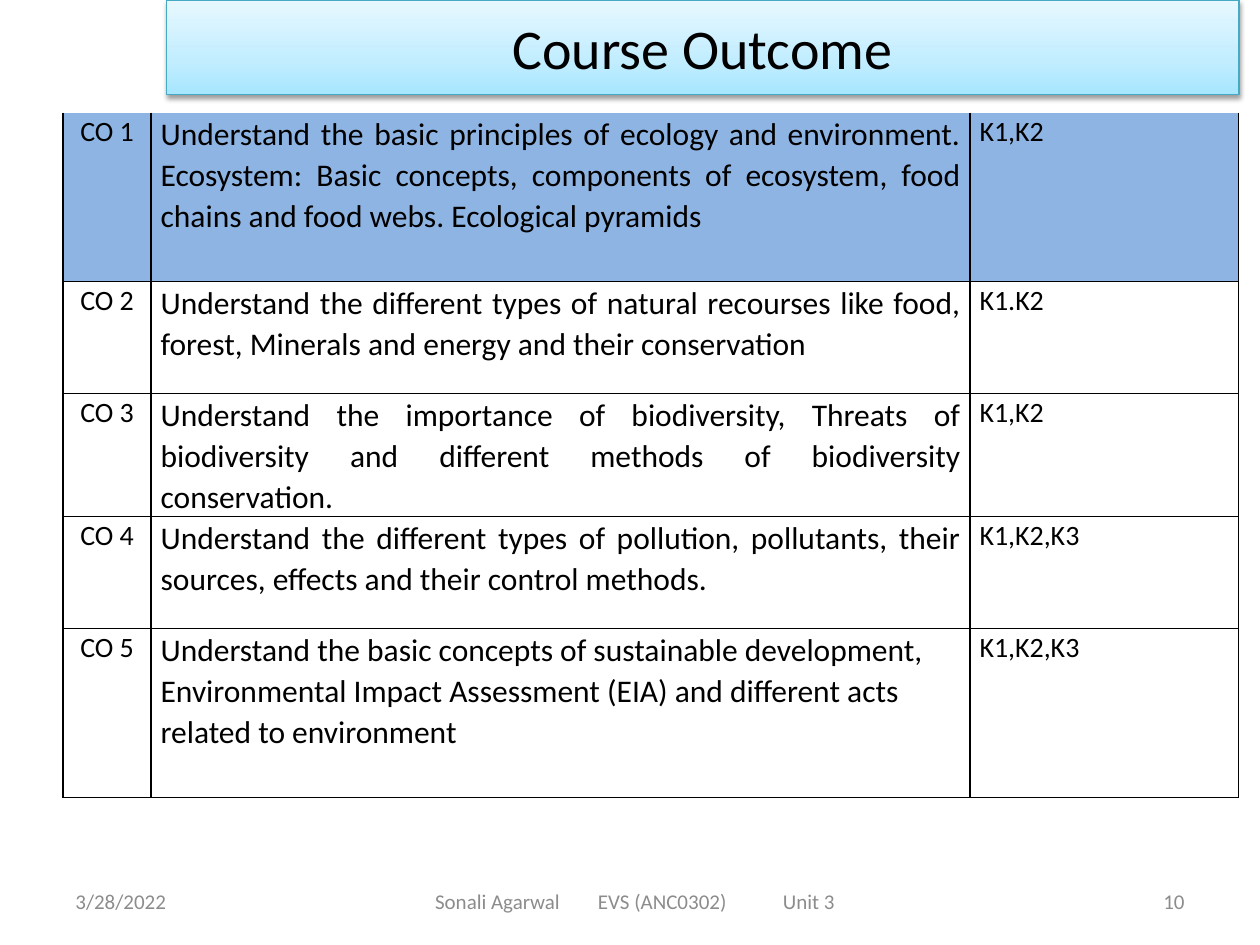
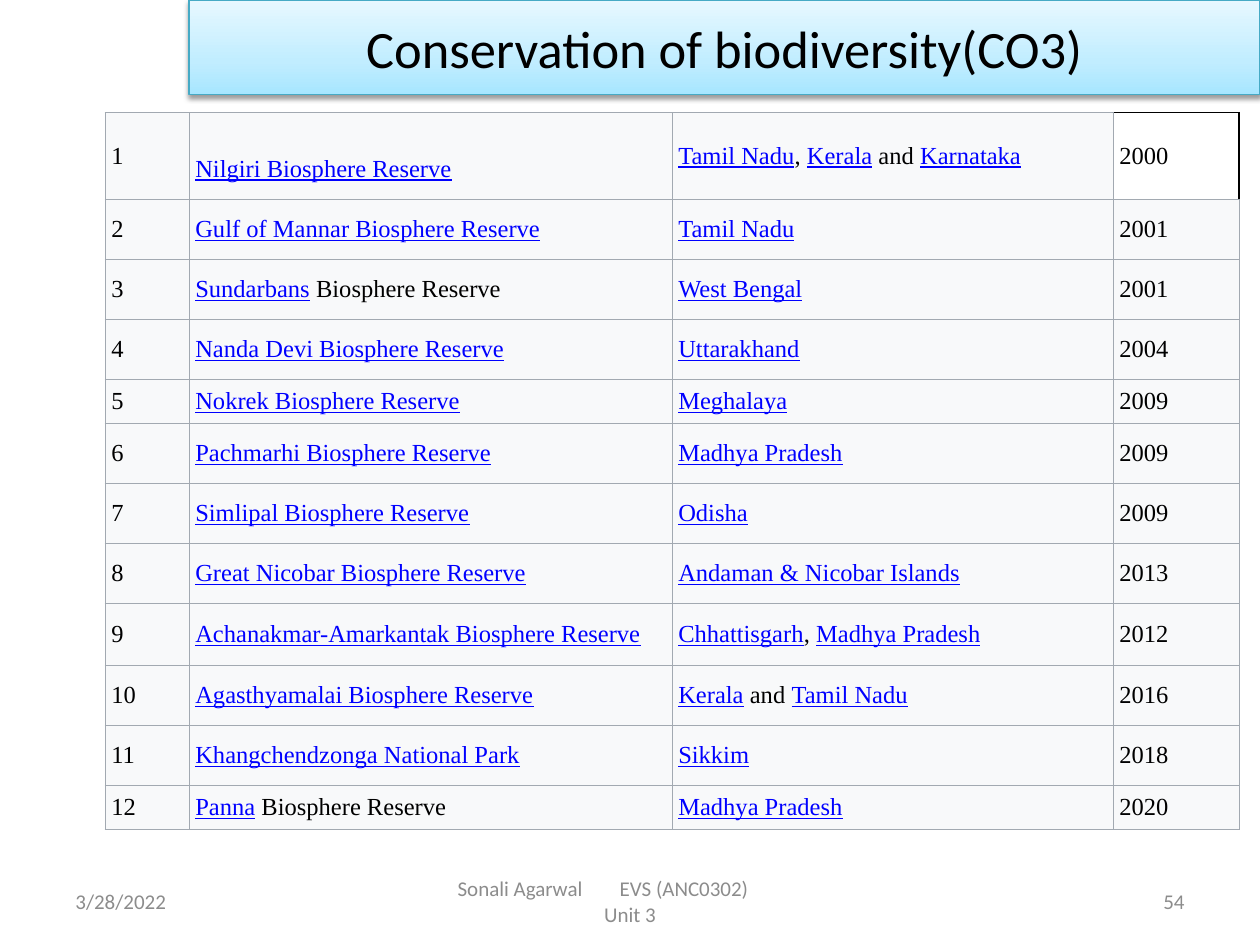
from dataclasses import dataclass

from lxml import etree
from pptx import Presentation
from pptx.dml.color import RGBColor
from pptx.enum import shapes, text
from pptx.oxml import ns
from pptx.util import Pt

LEFT, CENTER, RIGHT, JUSTIFY = (
    text.PP_ALIGN.LEFT, text.PP_ALIGN.CENTER, text.PP_ALIGN.RIGHT, text.PP_ALIGN.JUSTIFY)
MIDDLE = text.MSO_ANCHOR.MIDDLE


@dataclass(frozen=True)
class Theme:
    sans: str = "Calibri"
    serif: str = "Times New Roman"
    ink: str = "000000"
    paper: str = "FFFFFF"
    muted: str = "8C8C8C"
    link: str = "0000FF"
    band_line: str = "46AAC5"
    band_stops: tuple = ((0, "A7E6FF"), (35, "C1EDFF"), (100, "E7F8FF"))
    highlight: str = "8EB4E3"
    pale: str = "F8F9FA"
    grid: str = "A2A9B1"
    footer_size: float = 12
    code_size: float = 16
    outcome_size: float = 18
    reserve_size: float = 14


THEME = Theme()
BLACK_LINE = (THEME.ink, 1)
GRID_LINE = (THEME.grid, 0.6)

OUTCOMES = [
    ("CO 1", "Understand the basic principles of ecology and environment. Ecosystem: Basic "
     "concepts, components of ecosystem, food chains and food webs. Ecological pyramids", "K1,K2"),
    ("CO 2", "Understand the different types of natural recourses like food, forest, Minerals "
     "and energy and their conservation", "K1.K2"),
    ("CO 3", "Understand the importance of biodiversity, Threats of biodiversity and different "
     "methods of biodiversity conservation.", "K1,K2"),
    ("CO 4", "Understand the different types of pollution, pollutants, their sources, effects "
     "and their control methods.", "K1,K2,K3"),
    ("CO 5", "Understand the basic concepts of sustainable development, Environmental Impact "
     "Assessment (EIA) and different acts related to environment", "K1,K2,K3"),
]

# Words between asterisks are styled as links.
RESERVES = [
    ("*Nilgiri Biosphere Reserve*", "*Tamil Nadu*, *Kerala* and *Karnataka*", "2000"),
    ("*Gulf of Mannar Biosphere Reserve*", "*Tamil Nadu*", "2001"),
    ("*Sundarbans* Biosphere Reserve", "*West Bengal*", "2001"),
    ("*Nanda Devi Biosphere Reserve*", "*Uttarakhand*", "2004"),
    ("*Nokrek Biosphere Reserve*", "*Meghalaya*", "2009"),
    ("*Pachmarhi Biosphere Reserve*", "*Madhya Pradesh*", "2009"),
    ("*Simlipal Biosphere Reserve*", "*Odisha*", "2009"),
    ("*Great Nicobar Biosphere Reserve*", "*Andaman & Nicobar Islands*", "2013"),
    ("*Achanakmar-Amarkantak Biosphere Reserve*", "*Chhattisgarh*, *Madhya Pradesh*", "2012"),
    ("*Agasthyamalai Biosphere Reserve*", "*Kerala* and *Tamil Nadu*", "2016"),
    ("*Khangchendzonga National Park*", "*Sikkim*", "2018"),
    ("*Panna* Biosphere Reserve", "*Madhya Pradesh*", "2020"),
]


def sub(parent, tag, **attrs):
    return etree.SubElement(parent, ns.qn(tag), {k: str(v) for k, v in attrs.items()})


def format_runs(p, size, font=THEME.sans, color=THEME.ink, align=LEFT):
    p.alignment = align
    for r in p.runs:
        r.font.size = Pt(size)
        r.font.name = font
        r.font.color.rgb = RGBColor.from_string(color)


def set_insets(box, left, top, right, bottom):
    box.margin_left, box.margin_top = Pt(left), Pt(top)
    box.margin_right, box.margin_bottom = Pt(right), Pt(bottom)


def add_title_band(slide, title, left, width, size):
    sp = slide.shapes.add_shape(shapes.MSO_SHAPE.RECTANGLE, Pt(left), 0, Pt(width), Pt(54))
    sp.fill.gradient()
    sp.fill.gradient_angle = 90
    stops = sp._element.spPr.find(".//" + ns.qn("a:gsLst"))
    stops.clear()
    for percent, color in THEME.band_stops:
        sub(sub(stops, "a:gs", pos=percent * 1000), "a:srgbClr", val=color)
    sp.line.color.rgb = RGBColor.from_string(THEME.band_line)
    sp.line.width = Pt(0.75)

    sp.shadow.inherit = False
    effects = sp._element.spPr.find(ns.qn("a:effectLst"))
    shadow = sub(effects, "a:outerShdw", blurRad=Pt(3.1), dist=Pt(1.6),
                 dir=5400000, rotWithShape=0)
    sub(sub(shadow, "a:srgbClr", val=THEME.ink), "a:alpha", val=38000)

    tf = sp.text_frame
    tf.text = title
    tf.vertical_anchor = MIDDLE
    format_runs(tf.paragraphs[0], size, align=CENTER)


def add_footer_text(slide, content, left, width, align=LEFT, insets=(7.2, 7.2)):
    tf = slide.shapes.add_textbox(Pt(left), Pt(500.5), Pt(width), Pt(28.75)).text_frame
    tf.word_wrap = True
    tf.vertical_anchor = MIDDLE
    set_insets(tf, insets[0], 0, insets[1], 0)
    tf.text = content
    for p in tf.paragraphs:
        format_runs(p, THEME.footer_size, color=THEME.muted, align=align)
    return tf


def add_tab_stops(p, positions):
    tabs = etree.Element(ns.qn("a:tabLst"))
    for position in positions:
        sub(tabs, "a:tab", pos=Pt(position), algn="l")
    p._p.get_or_add_pPr().append(tabs)


def add_footer(slide, number, lines, left, width, inset, tab_stops):
    """Date, course line (tabbed first line, centred second line) and slide number."""
    add_footer_text(slide, "3/28/2022", 36, 168)
    tf = add_footer_text(slide, "\n".join(lines), left, width, insets=(inset, 15.5))
    add_tab_stops(tf.paragraphs[0], tab_stops)
    for p in tf.paragraphs[1:]:
        p.alignment = CENTER
    add_footer_text(slide, str(number), 516, 168, RIGHT)


def set_borders(cell, left, right, top, bottom):
    """Draw each side as (colour, width), or leave it open when None."""
    tc_pr = cell._tc.get_or_add_tcPr()
    sides = zip(("a:lnL", "a:lnR", "a:lnT", "a:lnB"), (left, right, top, bottom))
    for index, (tag, line) in enumerate(sides):
        ln = etree.Element(ns.qn(tag))
        if line:
            ln.set("w", str(Pt(line[1])))
            sub(sub(ln, "a:solidFill"), "a:srgbClr", val=line[0])
        else:
            ln.set("w", "0")
            sub(ln, "a:noFill")
        tc_pr.insert(index, ln)


def add_plain_table(slide, left, widths, heights):
    frame = slide.shapes.add_table(len(heights), len(widths), Pt(left), Pt(64.3),
                                   Pt(sum(widths)), Pt(sum(heights)))
    table = frame.table
    table.first_row = table.horz_banding = False
    for column, width in zip(table.columns, widths):
        column.width = Pt(width)
    for row, height in zip(table.rows, heights):
        row.height = Pt(height)
    return table


def fill_cell(cell, color):
    cell.fill.solid()
    cell.fill.fore_color.rgb = RGBColor.from_string(color)


def add_outcome_table(slide):
    table = add_plain_table(slide, 36, [50.4, 468, 153.4], [96.5, 64, 64, 64, 96.5])
    sizes = (THEME.code_size, THEME.outcome_size, THEME.code_size)
    last = len(OUTCOMES) - 1
    for i, outcome in enumerate(OUTCOMES):
        aligns = (CENTER, LEFT if i == last else JUSTIFY, JUSTIFY)
        for j, content in enumerate(outcome):
            cell = table.cell(i, j)
            cell.text = content
            set_insets(cell, 5.4, 0, 5.4, 0)
            p = cell.text_frame.paragraphs[0]
            p.line_spacing = 1.07
            format_runs(p, sizes[j], align=aligns[j])
            fill_cell(cell, THEME.paper if i else THEME.highlight)
            set_borders(cell, BLACK_LINE, BLACK_LINE, BLACK_LINE if i else None, BLACK_LINE)


def write_linked_text(p, content):
    for index, part in enumerate(content.split("*")):
        if part:
            r = p.add_run()
            r.text = part
            r.font.underline = index % 2 == 1
    format_runs(p, THEME.reserve_size, THEME.serif)
    for r in p.runs:
        if r.font.underline:
            r.font.color.rgb = RGBColor.from_string(THEME.link)


def add_reserve_table(slide):
    heights = [34.3] * len(RESERVES)
    heights[0], heights[8] = 49.7, 35.4
    heights[4] = heights[11] = 25.1
    table = add_plain_table(slide, 60, [48, 276, 252, 72], heights)
    for i, reserve in enumerate(RESERVES):
        for j, content in enumerate((str(i + 1), *reserve)):
            cell = table.cell(i, j)
            cell.vertical_anchor = MIDDLE
            set_insets(cell, 3.6, 1.8, 3.6, 1.8)
            write_linked_text(cell.text_frame.paragraphs[0], content)
            first_year = (i, j) == (0, 3)
            edge = BLACK_LINE if first_year else GRID_LINE
            fill_cell(cell, THEME.paper if first_year else THEME.pale)
            set_borders(cell, GRID_LINE, edge, edge, GRID_LINE)
    table.cell(0, 1).margin_top = Pt(16.8)


def main():
    prs = Presentation()
    prs.slide_width, prs.slide_height = Pt(720), Pt(540)
    blank = prs.slide_layouts[6]

    s = prs.slides.add_slide(blank)
    add_title_band(s, "Course Outcome", 95, 613, 32)
    add_outcome_table(s)
    add_footer(s, 10, ["Sonali Agarwal\tEVS (ANC0302)\tUnit 3"], 216, 293.8, 32.6, [93.1, 198.8])

    s = prs.slides.add_slide(blank)
    add_title_band(s, "Conservation of biodiversity(CO3)", 108, 612, 30)
    add_reserve_table(s)
    add_footer(s, 54, ["Sonali Agarwal\tEVS (ANC0302)", "Unit 3"], 246, 228, 15.5, [92.6])

    prs.save("out.pptx")


if __name__ == "__main__":
    main()
